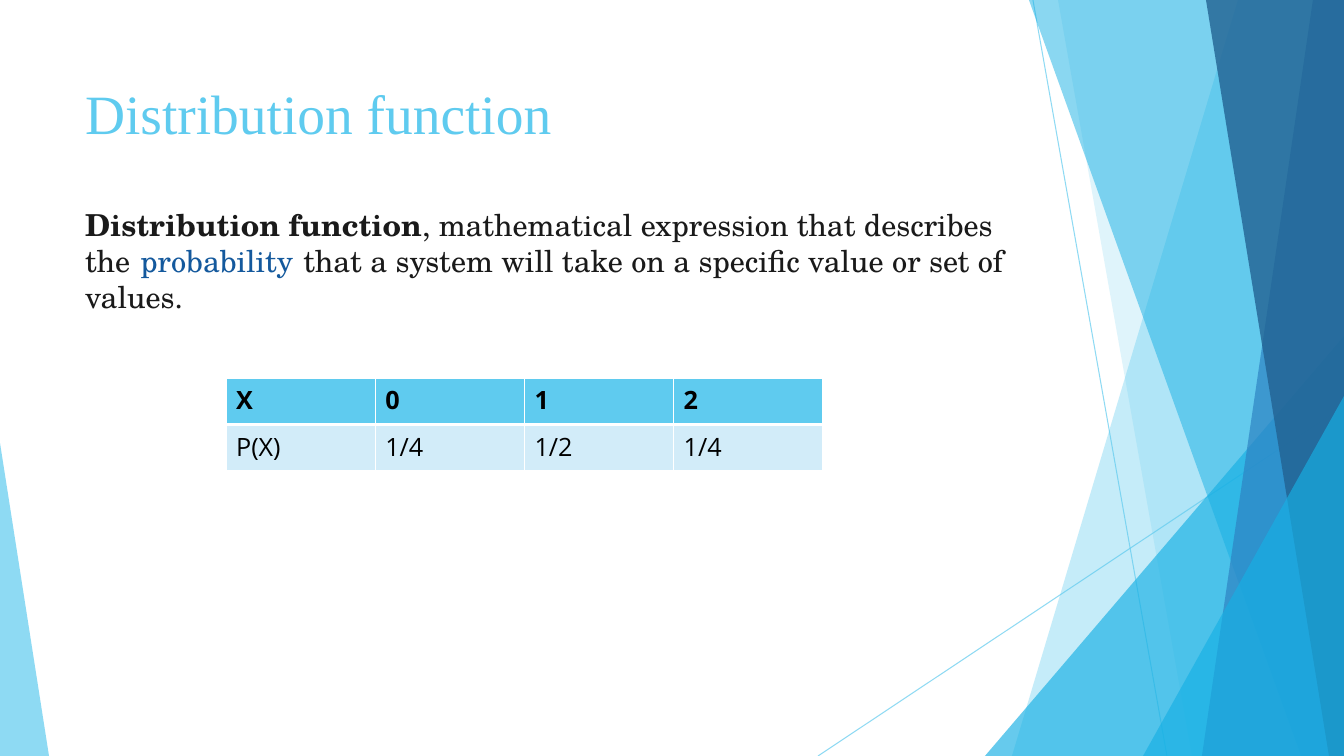
"""Build the distribution function slide."""
from dataclasses import dataclass

import pptx
import pptx.dml.color
import pptx.enum.shapes
import pptx.enum.text
import pptx.oxml
import pptx.oxml.ns
import pptx.util

WIDTH, HEIGHT = 1344, 756
SCALE = 914400 / 100.8
SKY, CYAN, WHITE, INK = "5FCBEF", "17B0E4", "FFFFFF", "1A1A1A"
SERIF = "TeX Gyre Schola"


@dataclass
class Line:
    """A thin decorative line."""
    start: tuple[int, int]
    end: tuple[int, int]


@dataclass
class Band:
    """A full-height band, slanted on the left and ending at the right edge."""
    top: int
    bottom: int
    color: str
    opacity: int


@dataclass
class Triangle:
    """A right triangle standing on the bottom edge; apex 0 is left, 1 is right."""
    left: int
    top: int
    width: int
    apex: int
    color: str
    opacity: int


DECORATIONS = [
    Line((1033, 0), (1167, HEIGHT)),
    Line((WIDTH, 406), (818, HEIGHT)),
    Band(1238, 1012, SKY, 36),
    Band(1058, 1192, SKY, 20),
    Triangle(985, 336, 359, 1, CYAN, 66),
    Band(1029, 1301, CYAN, 50),
    Band(1313, 1202, "2E83C3", 70),
    Band(1206, 1329, "226292", 80),
    Triangle(1143, 396, 201, 1, CYAN, 66),
    Triangle(0, 443, 49, 0, SKY, 70),
]
ROWS = [["X", "0", "1", "2"], ["P(X)", "1/4", "1/2", "1/4"]]
ROW_FILLS = [SKY, "D2ECF9"]


def px(length: float) -> int:
    """Turn pixels into EMU."""
    return round(length * SCALE)


def rgb(color: str) -> pptx.dml.color.RGBColor:
    """Turn a hex string into a colour."""
    return pptx.dml.color.RGBColor.from_string(color)


def paint(fill, color: str, opacity: int = 100) -> None:
    """Give a fill a solid colour with an opacity in percent."""
    fill.solid()
    fill.fore_color.rgb = rgb(color)
    if opacity < 100:
        tag = pptx.oxml.ns.qn("a:srgbClr")
        for element in fill._xPr.iter(tag):
            alpha = element.makeelement(pptx.oxml.ns.qn("a:alpha"), {"val": str(opacity * 1000)})
            element.append(alpha)


def add_text(paragraph, text: str, *, font: str, size: float, color: str,
             bold: bool = False) -> None:
    """Add a formatted run to a paragraph."""
    run = paragraph.add_run()
    run.text = text
    run.font.name = font
    run.font.size = pptx.util.Pt(size)
    run.font.bold = bold
    run.font.color.rgb = rgb(color)


def draw_line(slide, line: Line) -> None:
    """Draw a thin translucent line."""
    connector = slide.shapes.add_connector(
        pptx.enum.shapes.MSO_CONNECTOR.STRAIGHT, *map(px, line.start + line.end))
    connector.line.width = pptx.util.Pt(0.75)
    paint(connector.line.fill, SKY, 70)
    properties = connector._element.spPr
    properties.append(properties.makeelement(pptx.oxml.ns.qn("a:effectLst"), {}))


def draw_area(slide, area: Band | Triangle) -> None:
    """Draw a translucent band or triangle."""
    if isinstance(area, Band):
        builder = slide.shapes.build_freeform(area.top, 0, scale=SCALE)
        builder.add_line_segments([(WIDTH, 0), (WIDTH, HEIGHT), (area.bottom, HEIGHT)])
        shape = builder.convert_to_shape()
    else:
        shape = slide.shapes.add_shape(
            pptx.enum.shapes.MSO_SHAPE.ISOSCELES_TRIANGLE, px(area.left), px(area.top),
            px(area.width), px(HEIGHT - area.top))
        shape.adjustments[0] = area.apex
    shape.shadow.inherit = False
    shape.line.fill.background()
    paint(shape.fill, area.color, area.opacity)


def place_text(placeholder, top: int, height: int):
    """Move a placeholder and return its plain, left-aligned paragraph."""
    placeholder.left, placeholder.top = px(75), px(top)
    placeholder.width, placeholder.height = px(948), px(height)
    frame = placeholder.text_frame
    frame.word_wrap = True
    frame.auto_size = pptx.enum.text.MSO_AUTO_SIZE.NONE
    frame.vertical_anchor = pptx.enum.text.MSO_ANCHOR.TOP
    paragraph = frame.paragraphs[0]
    paragraph.alignment = pptx.enum.text.PP_ALIGN.LEFT
    paragraph.space_before = pptx.util.Pt(0)
    properties = paragraph._p.get_or_add_pPr()
    properties.set("marL", "0")
    properties.set("indent", "0")
    properties.append(properties.makeelement(pptx.oxml.ns.qn("a:buNone"), {}))
    return paragraph


def set_borders(cell, **widths: float) -> None:
    """Give a cell white borders, widths in points by side (L, R, T, B)."""
    properties = cell._tc.get_or_add_tcPr()
    for index, (side, width) in enumerate(widths.items()):
        properties.insert(index, pptx.oxml.parse_xml(
            f'<a:ln{side} {pptx.oxml.ns.nsdecls("a")} w="{pptx.util.Pt(width)}"><a:solidFill>'
            f'<a:srgbClr val="{WHITE}"/></a:solidFill></a:ln{side}>'))


def draw_table(slide) -> None:
    """Draw the probability table."""
    table = slide.shapes.add_table(
        len(ROWS), len(ROWS[0]), px(226), px(378), px(597), px(93)).table
    for row, values in enumerate(ROWS):
        for column, value in enumerate(values):
            cell = table.cell(row, column)
            paint(cell.fill, ROW_FILLS[row])
            header = row == 0
            set_borders(cell, L=1, R=1, T=1 if header else 3, B=3 if header else 1)
            add_text(cell.text_frame.paragraphs[0], value, font="Open Sans", size=18,
                     color="000000", bold=header)


def main() -> None:
    """Build and save the slide."""
    presentation = pptx.Presentation()
    presentation.slide_width, presentation.slide_height = px(WIDTH), px(HEIGHT)
    slide = presentation.slides.add_slide(presentation.slide_layouts[1])
    for decoration in DECORATIONS:
        if isinstance(decoration, Line):
            draw_line(slide, decoration)
        else:
            draw_area(slide, decoration)

    title = place_text(slide.shapes.title, 74, 80)
    add_text(title, "Distribution function", font="Times New Roman", size=39.6, color=SKY)
    body = place_text(slide.placeholders[1], 201, 130)
    for text, color, bold in [
        ("Distribution function", INK, True),
        (", mathematical expression that describes the\u00a0", INK, False),
        ("probability", "14599D", False),
        ("\u00a0that a system will take on a specific value or set of values.", INK, False),
    ]:
        add_text(body, text, font=SERIF, size=21.6, color=color, bold=bold)
    draw_table(slide)
    presentation.save("out.pptx")


main()
